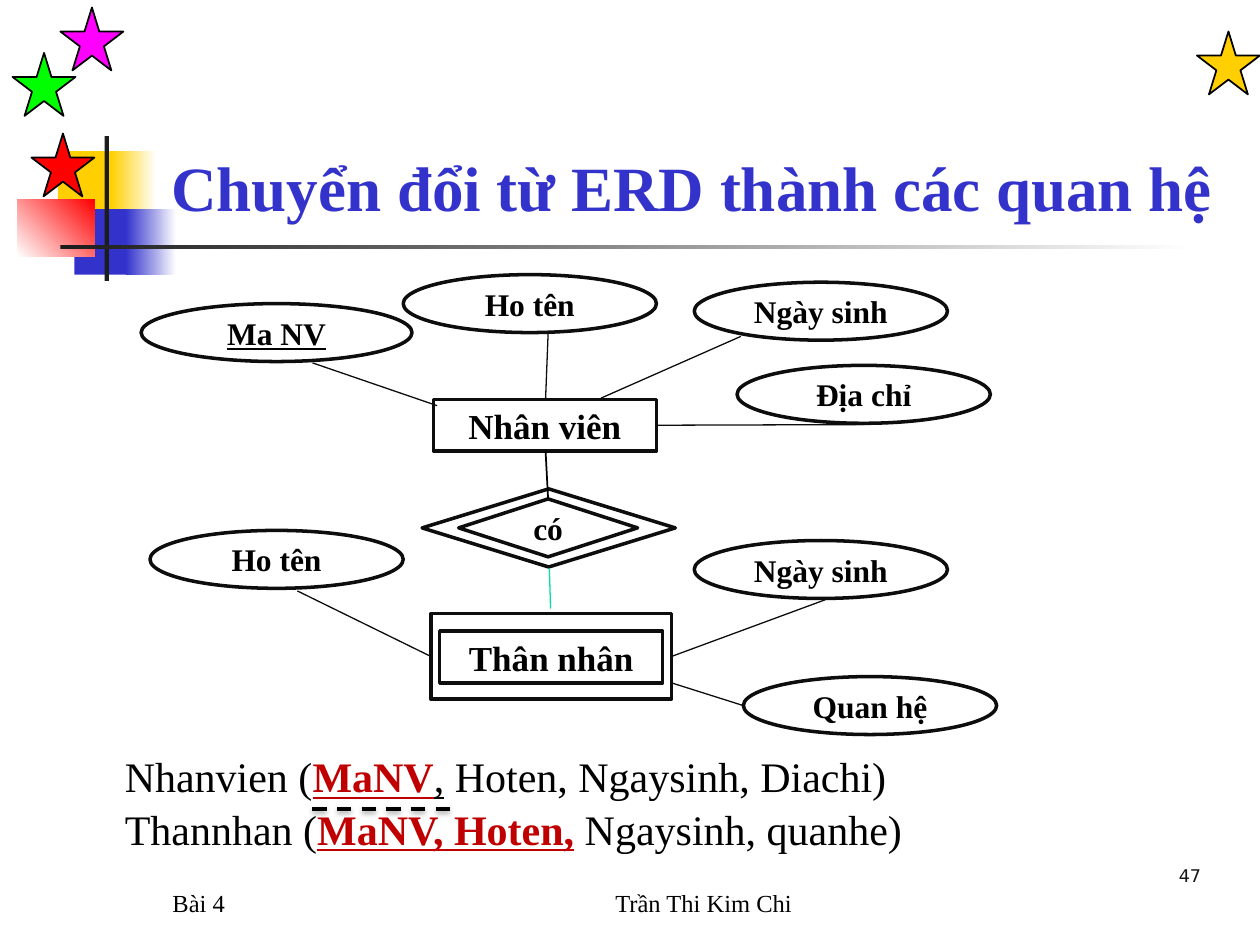
import pptx
import pptx.util
import pptx.dml.color
import pptx.enum.dml
import pptx.enum.shapes
import pptx.enum.text
import lxml.etree

SHAPE = pptx.enum.shapes.MSO_SHAPE
ANCHOR = pptx.enum.text.MSO_ANCHOR
ALIGN = pptx.enum.text.PP_ALIGN
AUTO = pptx.enum.text.MSO_AUTO_SIZE
RGB = pptx.dml.color.RGBColor.from_string
Pt = pptx.util.Pt
NS = "http://schemas.openxmlformats.org/drawingml/2006/main"
SERIF = "Times New Roman"
C = dict(
    yellow="FFCF01", blue="3333CC", red="FF0000", green="00FF00",
    pink="FF00FF", white="FFFFFF", black="000000", bar="1C1C1C",
    outline="0D0D0D", key="C00000", link="00DFA4", number="151515",
)

prs = pptx.Presentation()
prs.slide_width = pptx.util.Inches(10)
prs.slide_height = pptx.util.Inches(7.5)
COL = prs.slide_width / 100  # grid of 100 columns
ROW = prs.slide_height / 75  # and 75 rows
s = prs.slides.add_slide(prs.slide_layouts[1])


def grid(x, y, w, h):
    """Left, top, width and height in EMU from columns and rows."""
    return round(x * COL), round(y * ROW), round(w * COL), round(h * ROW)


def add_run(p, text, size, color, bold=False, underline=False, font=SERIF):
    r = p.add_run()
    r.text = text
    r.font.name = font
    r.font.size = Pt(size)
    r.font.bold = bold
    r.font.underline = underline
    r.font.color.rgb = RGB(C[color])


# Corner ornament: one colour is solid, two make a gradient
ornament = [
    ((4.6, 12, 4.8, 5.2), ["yellow"], 0),
    ((8.8, 12, 3.6, 5.2), ["yellow", "white"], 0),
    ((5.9, 16.6, 4.6, 5.2), ["blue"], 0),
    ((10, 16.6, 4, 5.2), ["blue", "white"], 0),
    ((1.4, 15.8, 6.1, 4.6), ["white", "red"], 45),
    ((8.3, 10.8, 0.35, 11.5), ["bar"], 0),
    ((4.8, 19.45, 90, 0.35), ["bar", "white"], 0),
]
for box, colors, angle in ornament:
    sp = s.shapes.add_shape(SHAPE.RECTANGLE, *grid(*box))
    sp.shadow.inherit = False
    sp.line.fill.background()
    if len(colors) == 1:
        sp.fill.solid()
        sp.fill.fore_color.rgb = RGB(C[colors[0]])
    else:
        sp.fill.gradient()
        sp.fill.gradient_angle = angle
        for stop, color in zip(sp.fill.gradient_stops, colors):
            stop.color.rgb = RGB(C[color])

for x, y, color in [(95, 2.5, "yellow"), (2.5, 10.6, "red"),
                    (1, 4.2, "green"), (4.8, 0.6, "pink")]:
    sp = s.shapes.add_shape(SHAPE.STAR_5_POINT, *grid(x, y, 5, 5))
    sp.shadow.inherit = False
    sp.fill.solid()
    sp.fill.fore_color.rgb = RGB(C[color])
    sp.line.color.rgb = RGB(C["black"])
    sp.line.width = Pt(1)

# Title and relation schemas, brought in front of the ornament
title, body = s.shapes.title, s.placeholders[1]
for sp, box in [(title, (12.6, 2.3, 85.2, 16)), (body, (-0.5, 59.1, 98.3, 9.1))]:
    sp.left, sp.top, sp.width, sp.height = grid(*box)
    sp.element.getparent().append(sp.element)

tf = title.text_frame
tf.auto_size = AUTO.NONE
tf.vertical_anchor = ANCHOR.BOTTOM
tf.paragraphs[0].alignment = ALIGN.LEFT
add_run(tf.paragraphs[0], "Chuyển đổi từ ERD thành các quan hệ", 36, "blue", True)

schemas = [
    [("Nhanvien (", "black", False, False), ("MaNV", "key", True, True),
     (",", "black", False, True), (" Hoten, Ngaysinh, Diachi)", "black", False, False)],
    [("Thannhan (", "black", False, False), ("MaNV, Hoten,", "key", True, True),
     (" Ngaysinh, quanhe)", "black", False, False)],
]
tf = body.text_frame
tf.auto_size = AUTO.SHAPE_TO_FIT_TEXT
for i, runs in enumerate(schemas):
    p = tf.add_paragraph() if i else tf.paragraphs[0]
    p.level = 2
    p.space_before = Pt(1)
    pPr = p._p.get_or_add_pPr()
    pPr.set("marL", str(round(9.4 * COL)))
    pPr.set("indent", "0")
    lxml.etree.SubElement(pPr, f"{{{NS}}}buNone")
    for text, color, bold, underline in runs:
        add_run(p, text, 24, color, bold, underline)

# Footer texts
for box, text, align, size, color, font in [
    ((91.3, 66.8, 5, 4), "47", ALIGN.RIGHT, 10, "number", "DejaVu Sans"),
    ((12.7, 68.3, 20.8, 5), "Bài 4", ALIGN.LEFT, 14, "black", SERIF),
    ((40, 68.3, 31.7, 5), "Trần Thi Kim Chi", ALIGN.CENTER, 14, "black", SERIF),
]:
    tf = s.shapes.add_textbox(*grid(*box)).text_frame
    tf.word_wrap = True
    tf.vertical_anchor = ANCHOR.BOTTOM
    tf.paragraphs[0].alignment = align
    add_run(tf.paragraphs[0], text, size, color, font=font)

# Diagram nodes: (kind, box, label, text size, filled)
ENTITY, ATTRIBUTE, RELATION = SHAPE.RECTANGLE, SHAPE.OVAL, SHAPE.FLOWCHART_DECISION
nodes = [
    (ENTITY, (34.4, 31.7, 17.7, 4.1), "Nhân viên", 20, True),
    (ENTITY, (34.9, 50.1, 17.7, 4.1), "Thân nhân", 20, True),
    (ENTITY, (34.2, 48.7, 19.1, 6.8), "", 20, False),
    (RELATION, (33.5, 38.8, 20.1, 6.2), "", 18, True),
    (RELATION, (36.4, 39.6, 14.2, 4.6), "có", 18, False),
    (ATTRIBUTE, (11.2, 24.1, 21.5, 4.6), "Ma NV", 18, False),
]
nodes += [(ATTRIBUTE, (x, y, 20.1, 4.6), label, 18, True) for x, y, label in [
    (32, 21.8, "Ho tên"), (55.1, 22.4, "Ngày sinh"), (58.5, 29, "Địa chỉ"),
    (11.9, 42.1, "Ho tên"), (55.1, 42.9, "Ngày sinh"), (59, 53.7, "Quan hệ"),
]]
for kind, box, label, size, filled in nodes:
    sp = s.shapes.add_shape(kind, *grid(*box))
    sp.shadow.inherit = False
    sp.line.color.rgb = RGB(C["outline"])
    sp.line.width = Pt(2)
    if filled:
        sp.fill.solid()
        sp.fill.fore_color.rgb = RGB(C["white"])
    else:
        sp.fill.background()
    if label:
        tf = sp.text_frame
        tf.word_wrap = False
        tf.vertical_anchor = ANCHOR.MIDDLE
        tf.paragraphs[0].alignment = ALIGN.CENTER
        add_run(tf.paragraphs[0], label, size, "black", True, label == "Ma NV")

# Links between nodes, then the dashed underline of the foreign key
links = [(ends, "outline", 0.75) for ends in [
    (43.3, 31.7, 43.5, 26.5), (24.8, 28.8, 34.7, 32.2),
    (47.7, 31.6, 58.8, 26.7), (52.1, 33.75, 68.6, 33.7),
    (23.6, 46.9, 34.2, 52.1), (53.3, 52.1, 65.5, 47.6),
    (53.3, 54.2, 59, 56),
]]
links += [((43.6, 45.1, 43.7, 48.3), "link", 0.75),
          ((43.3, 35.8, 43.5, 39.6), "black", 1),
          ((24.8, 64.2, 36.4, 64.2), "black", 2)]
for ends, color, width in links:
    cx = s.shapes.add_connector(pptx.enum.shapes.MSO_CONNECTOR.STRAIGHT, *grid(*ends))
    cx.line.color.rgb = RGB(C[color])
    cx.line.width = Pt(width)
    if width == 2:
        cx.line.dash_style = pptx.enum.dml.MSO_LINE.DASH
    effects = lxml.etree.SubElement(cx.element.spPr, f"{{{NS}}}effectLst")
    if width == 2:
        shadow = lxml.etree.SubElement(
            effects, f"{{{NS}}}outerShdw", blurRad=str(Pt(3.1)),
            dist=str(Pt(1.6)), dir="5400000", rotWithShape="0")
        tint = lxml.etree.SubElement(shadow, f"{{{NS}}}srgbClr", val=C["black"])
        lxml.etree.SubElement(tint, f"{{{NS}}}alpha", val="38000")

prs.save("out.pptx")
